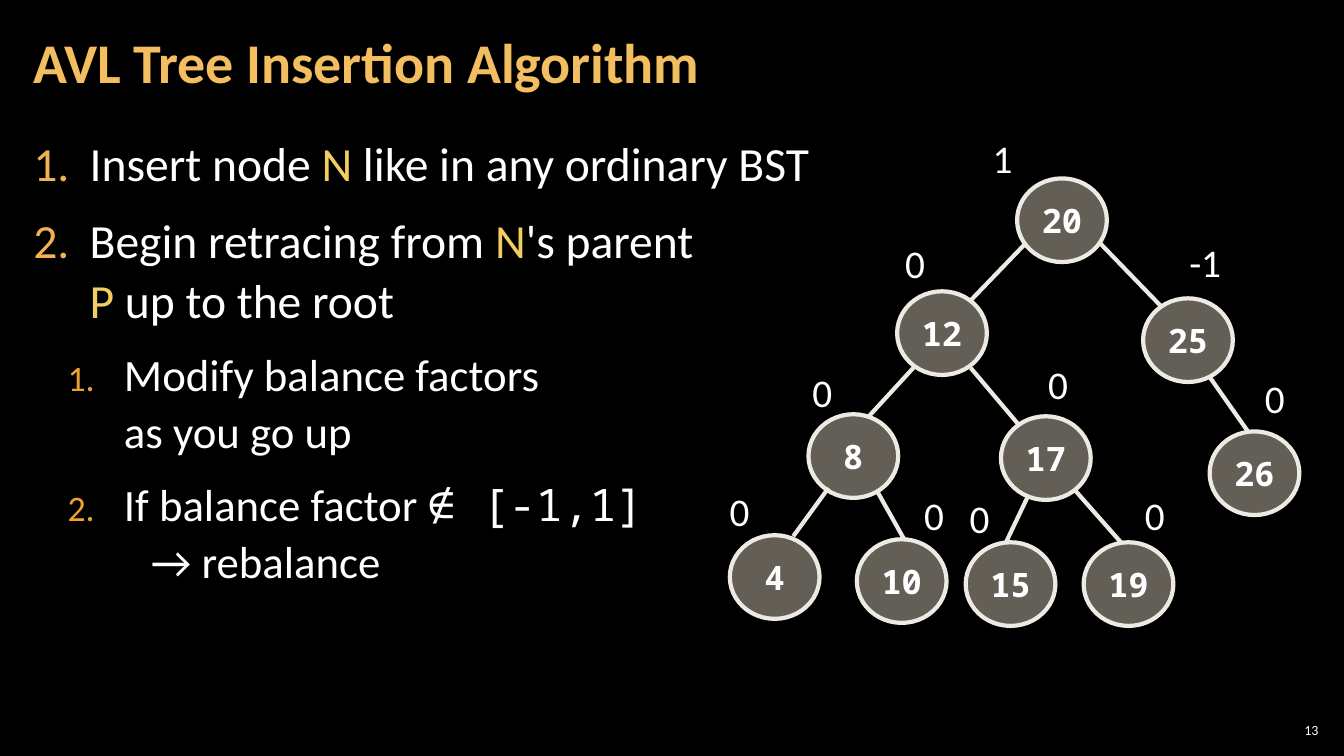
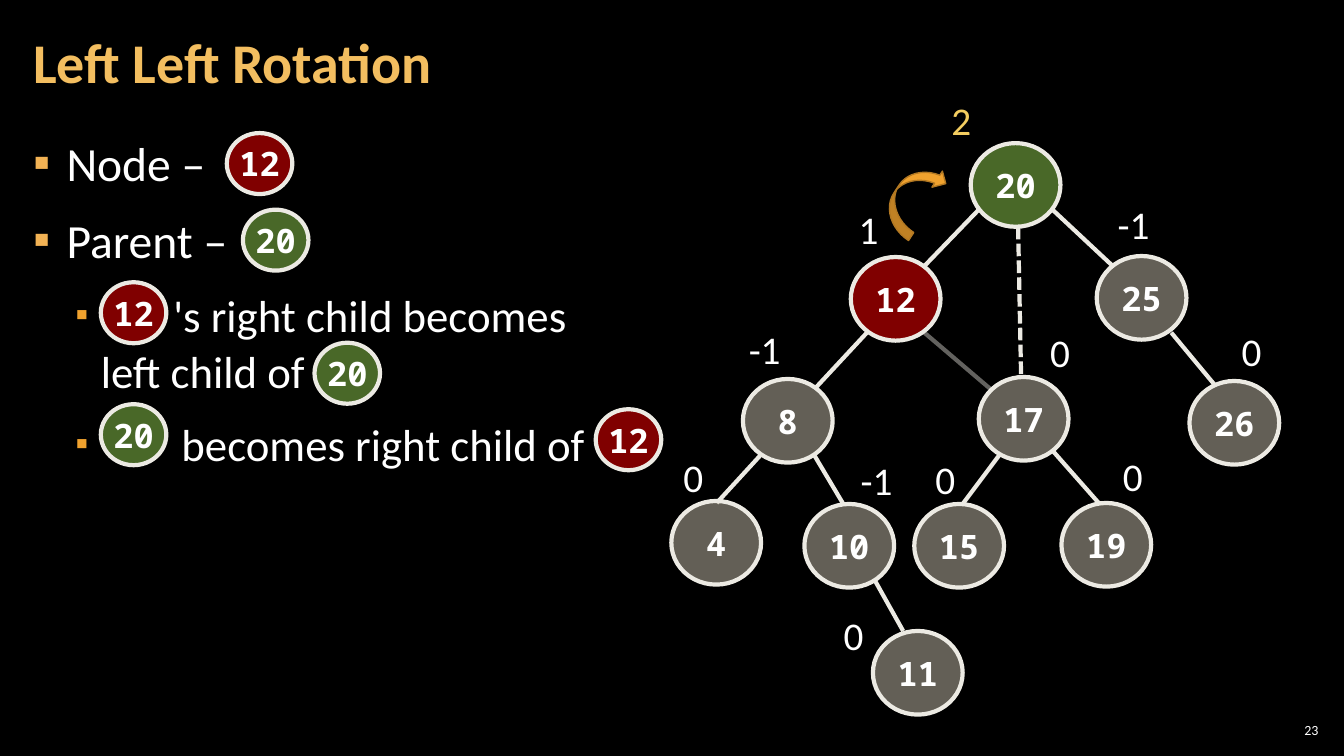
from lxml import etree
from pptx import Presentation
from pptx.dml.color import RGBColor
from pptx.enum.dml import MSO_LINE
from pptx.enum.shapes import MSO_CONNECTOR, MSO_SHAPE
from pptx.enum.text import MSO_ANCHOR, MSO_AUTO_SIZE, PP_ALIGN
from pptx.oxml.ns import qn
from pptx.util import Inches, Pt

STRAIGHT = MSO_CONNECTOR.STRAIGHT
ELLIPSE = MSO_SHAPE.OVAL
CURVED_ARROW = MSO_SHAPE.CURVED_DOWN_ARROW
SHORT_DASH = MSO_LINE.SQUARE_DOT
MIDDLE, TOP = MSO_ANCHOR.MIDDLE, MSO_ANCHOR.TOP
LEFT, CENTER, RIGHT = PP_ALIGN.LEFT, PP_ALIGN.CENTER, PP_ALIGN.RIGHT
NO_AUTOFIT = MSO_AUTO_SIZE.NONE

TEXT_FONT, NODE_FONT = "Calibri", "Noto Sans Mono"
BLACK, WHITE, OUTLINE = "000000", "FFFFFF", "ECEAE3"
TITLE_GOLD, NAME_GOLD = "F3BE60", "F3CD60"
ORANGE, DARK_ORANGE = "F0A22E", "B27822"
GREY, GREEN, RED = "C7BFAC", "92D050", "FF0000"
LEVEL_SIZES = (34, 32)
BULLET_COLORS = ("F2B254", ORANGE)

# The grid has ten columns and ten rows to the inch.
COLUMNS, ROWS = 133.33, 75
NODE_SIZE = (8.9, 8.3)
SMALL_NODE_SIZE = (6.5, 6.05)

# Nodes: value, column, row, then column, row and text of the balance factor.
INSERTION_NODES = [
    ("20", 100.9, 17.7, 97.5, 12.8, "1"),
    ("12", 89, 28.9, 88.8, 23.3, "0"),
    ("25", 113.4, 29.6, 117, 23.2, "-1"),
    ("8", 80.2, 41.1, 79.6, 36, "0"),
    ("17", 99.3, 41.3, 103, 35.3, "0"),
    ("26", 120, 42.8, 124.5, 36.6, "0"),
    ("4", 72.4, 53.1, 71.4, 47.9, "0"),
    ("10", 85, 53.5, 90.7, 48.3, "0"),
    ("15", 95.8, 53.8, 95.2, 48.5, "0"),
    ("19", 107.5, 53.8, 112.6, 48.3, "0"),
]
INSERTION_EDGES = [
    (101.7, 24.2, 96.3, 29.8), (109.2, 24.2, 115.2, 30.4),
    (90.7, 36.4, 86.2, 41.3), (96.3, 36.5, 101.2, 42.3),
    (120, 37.4, 123.8, 42.8), (82.2, 48.4, 78.7, 53.2),
    (87, 48.7, 89.7, 53.5), (101.9, 49.4, 99.8, 53.8),
    (106.7, 48.7, 111.2, 53.8),
]
ROTATION_NODES = [
    ("20", 96.3, 14.2, 93.4, 9.1, "2"),
    ("12", 84.4, 25.5, 84.2, 19.9, "1"),
    ("25", 108.8, 25.4, 109.9, 19.4, "-1"),
    ("8", 73.7, 37.6, 73.3, 31.8, "-1"),
    ("17", 97.1, 37.4, 103.2, 32.1, "0"),
    ("26", 118, 37.8, 122.2, 32, "0"),
    ("4", 66.6, 49.7, 66.8, 44.5, "0"),
    ("10", 79.8, 50, 84.4, 44.8, "-1"),
    ("15", 90.7, 50, 91.8, 44.7, "0"),
    ("19", 105.3, 49.9, 110.4, 44.4, "0"),
    ("11", 86.6, 62.6, 82.7, 60.2, "0"),
]
ROTATION_EDGES = [
    (97.1, 20.8, 91.7, 26.4), (104.3, 20.7, 110.4, 26.4),
    (86.1, 32.9, 80.8, 38.6), (116.2, 33, 120.6, 38.3),
    (75.5, 45.1, 71.1, 49.9), (80.8, 45.2, 83.6, 49.9),
    (99.1, 45.2, 95.5, 50), (104.5, 44.8, 109, 49.9),
    (86.8, 57.6, 89.6, 62.6),
]
DETACHED_EDGE = (91.7, 33, 98.5, 38.8)
NEW_EDGE = (101, 22.5, 101.3, 37.4)
ROTATION_COLORS = {"12": RED, "20": GREEN}
INLINE_NODES = [
    ("12", 22.5, 13.2), ("20", 24.1, 20.8), ("12", 10, 28),
    ("20", 31.2, 34), ("20", 10, 40.1), ("12", 59.1, 40.6),
]


def grid(count):
    return Inches(count / 10)


def color(value):
    return RGBColor.from_string(value)


def set_font(font, size, value=WHITE, name=TEXT_FONT, bold=False):
    font.size, font.name, font.bold = Pt(size), name, bold
    font.color.rgb = color(value)


def set_opacity(shape, percent):
    """Apply to the first colour of the shape: its fill, or a connector's line."""
    first_color = next(shape._element.spPr.iter(qn("a:srgbClr")))
    etree.SubElement(first_color, qn("a:alpha"), val=str(percent * 1000))


def set_frame(frame, anchor=TOP, insets=(0.12, 0.04), wrap=True):
    frame.word_wrap, frame.auto_size = wrap, NO_AUTOFIT
    frame.vertical_anchor = anchor
    frame.margin_left = frame.margin_right = Inches(insets[0])
    frame.margin_top = frame.margin_bottom = Inches(insets[1])


def add_label(slide, text, box, size, value=WHITE, align=LEFT, **frame_options):
    shape = slide.shapes.add_textbox(*map(grid, box))
    set_frame(shape.text_frame, **frame_options)
    paragraph = shape.text_frame.paragraphs[0]
    paragraph.text, paragraph.alignment = text, align
    set_font(paragraph.font, size, value)


def start_slide(presentation, title, number):
    slide = presentation.slides.add_slide(presentation.slide_layouts[5])
    shape = slide.shapes.title
    shape.left, shape.top, shape.width, shape.height = map(grid, (2.1, 0.4, 104.7, 12.1))
    set_frame(shape.text_frame, MIDDLE)
    paragraph = shape.text_frame.paragraphs[0]
    paragraph.text, paragraph.alignment, paragraph.line_spacing = title, LEFT, 0.9
    set_font(paragraph.font, 40, TITLE_GOLD, bold=True)
    add_label(slide, str(number), (126.5, 71.4, 4.7, 2.1), 10, align=RIGHT,
              anchor=MIDDLE, insets=(0.04, 0.04))
    return slide


def add_bullet(paragraph, level, margin, indent, bullet):
    """Set the indents, and a bullet character, a number ("1.") or neither."""
    properties = paragraph._p.get_or_add_pPr()
    properties.set("marL", str(Inches(margin)))
    properties.set("indent", str(Inches(indent)))
    if bullet is None:
        etree.SubElement(properties, qn("a:buNone"))
        return
    bullet_color = etree.SubElement(properties, qn("a:buClr"))
    etree.SubElement(bullet_color, qn("a:srgbClr"), val=BULLET_COLORS[level])
    etree.SubElement(properties, qn("a:buSzPct"), val="80000" if level else "100000")
    etree.SubElement(properties, qn("a:buFont"), typeface=TEXT_FONT)
    if bullet == "1.":
        etree.SubElement(properties, qn("a:buAutoNum"), type="arabicPeriod")
    else:
        etree.SubElement(properties, qn("a:buChar"), char=bullet)


def add_runs(paragraph, runs):
    """Add (text, style) runs; a style is None, a colour or the node font."""
    for text, style in runs:
        for index, line in enumerate(text.split("\n")):
            if index:
                paragraph.add_line_break()
            if not line:
                continue
            run = paragraph.add_run()
            run.text = line
            if style == NODE_FONT:
                run.font.name = style
            elif style:
                run.font.color.rgb = color(style)


def add_body(slide, items):
    """Items: level, margin, indent, bullet, space before, space after, runs."""
    shape = slide.shapes.add_textbox(*map(grid, (2.1, 12.6, 129.1, 60.9)))
    frame = shape.text_frame
    set_frame(frame)
    for index, (level, margin, indent, bullet, before, after, runs) in enumerate(items):
        paragraph = frame.add_paragraph() if index else frame.paragraphs[0]
        paragraph.level, paragraph.line_spacing = level, 1.05
        paragraph.space_before, paragraph.space_after = Pt(before), Pt(after)
        add_bullet(paragraph, level, margin, indent, bullet)
        set_font(paragraph.font, LEVEL_SIZES[level])
        add_runs(paragraph, runs)


def add_edge(slide, ends):
    edge = slide.shapes.add_connector(STRAIGHT, *map(grid, ends))
    edge.line.color.rgb, edge.line.width = color(OUTLINE), Pt(3)
    etree.SubElement(edge._element.spPr, qn("a:effectLst"))
    return edge


def add_filled_shape(slide, kind, box, fill, line, line_width):
    shape = slide.shapes.add_shape(kind, *map(grid, box))
    shape.shadow.inherit = False
    shape.fill.solid()
    shape.fill.fore_color.rgb = color(fill)
    shape.line.color.rgb, shape.line.width = color(line), Pt(line_width)
    return shape


def add_node(slide, value, column, row, fill=GREY, size=NODE_SIZE):
    node = add_filled_shape(slide, ELLIPSE, (column, row, *size), fill, OUTLINE, 3)
    set_opacity(node, 50)
    set_frame(node.text_frame, MIDDLE, (0.1, 0.05), wrap=False)
    paragraph = node.text_frame.paragraphs[0]
    paragraph.text, paragraph.alignment = value, CENTER
    set_font(paragraph.font, 24, name=NODE_FONT, bold=True)


def add_tree(slide, nodes, edges, fills):
    for ends in edges:
        add_edge(slide, ends)
    for value, column, row, label_column, label_row, balance in nodes:
        add_node(slide, value, column, row, fills.get(value, GREY))
        box = (label_column, label_row, 5.4 if len(balance) > 1 else 4.2, 5.7)
        label_color = NAME_GOLD if balance == "2" else WHITE
        add_label(slide, balance, box, 28, label_color, insets=(0.1, 0.05))


def build_insertion(presentation):
    slide = start_slide(presentation, "AVL Tree Insertion Algorithm", 13)
    step = (0, 0.56, -0.56, "1.")
    substep = (1, 0.9, -0.56, "1.", 6, 6)
    add_body(slide, [
        (*step, 0, 6, [("Insert node ", None), ("N", NAME_GOLD),
                       (" like in any ordinary BST", None)]),
        (*step, 6, 6, [("Begin retracing from ", None), ("N", NAME_GOLD),
                       ("'s parent\n", None), ("P", NAME_GOLD),
                       (" up to the root", None)]),
        (*substep, [("Modify balance factors\nas you go up", None)]),
        (*substep, [("If balance factor ", None), ("∉ [-1,1]\n ", NODE_FONT),
                    ("→ rebalance", None)]),
    ])
    add_tree(slide, INSERTION_NODES, INSERTION_EDGES, {})


def build_rotation(presentation):
    slide = start_slide(presentation, "Left Left Rotation", 23)
    point = (0, 0.33, -0.33, "▪")
    add_body(slide, [
        (*point, 0, 6, [("Node –", None)]),
        (*point, 6, 6, [("Parent –", None)]),
        (1, 1.39, -0.97, "▪", 6, 0, [("'s right child becomes", None)]),
        (1, 0.67, 0, None, 0, 6, [("left child of", None)]),
        (1, 1.47, -1.05, "▪", 6, 6, [("becomes right child of", None)]),
    ])
    set_opacity(add_edge(slide, DETACHED_EDGE), 42)
    add_edge(slide, NEW_EDGE).line.dash_style = SHORT_DASH
    add_tree(slide, ROTATION_NODES, ROTATION_EDGES, ROTATION_COLORS)
    arrow = add_filled_shape(slide, CURVED_ARROW, (86.8, 17.7, 7.7, 3.8),
                             ORANGE, DARK_ORANGE, 1)
    arrow.rotation = 303.2
    for value, column, row in INLINE_NODES:
        add_node(slide, value, column, row, ROTATION_COLORS[value], SMALL_NODE_SIZE)


def main():
    presentation = Presentation()
    presentation.slide_width, presentation.slide_height = grid(COLUMNS), grid(ROWS)
    background = presentation.slide_master.background.fill
    background.solid()
    background.fore_color.rgb = color(BLACK)
    build_insertion(presentation)
    build_rotation(presentation)
    presentation.save("out.pptx")


if __name__ == "__main__":
    main()
